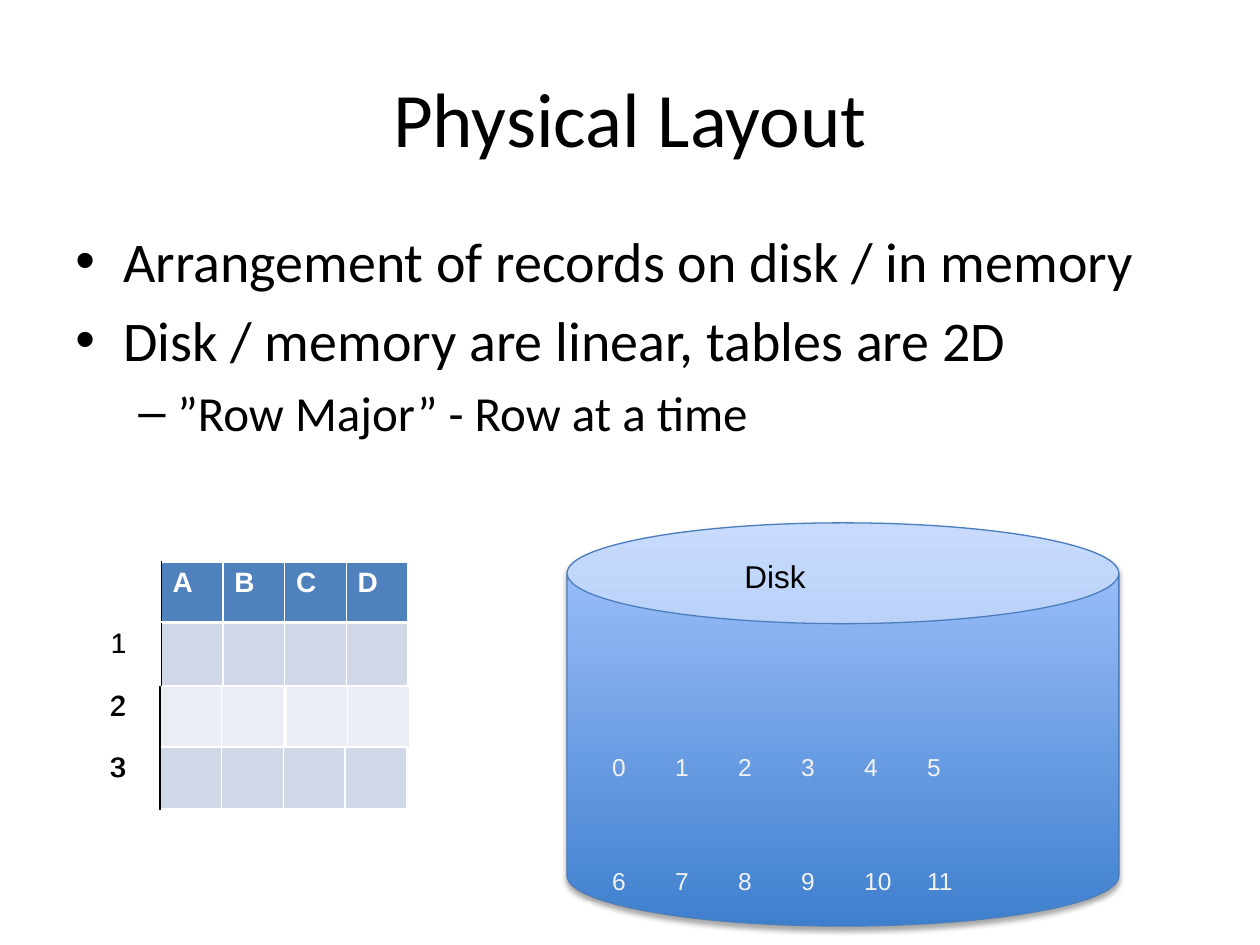
"""Build the Physical Layout slide with its record table and disk."""
from dataclasses import dataclass

from lxml import etree
from pptx import Presentation
from pptx import util as u
from pptx.dml import color as dml
from pptx.enum import shapes, text
from pptx.oxml import ns


@dataclass(frozen=True)
class Theme:
    heading_font: str = "Calibri"
    label_font: str = "Arial"
    black: str = "000000"
    white: str = "FFFFFF"
    header: str = "4F81BD"
    band: str = "D0D8E8"
    light_band: str = "E9EDF4"
    overlay_band: str = "EAEDF4"
    disk_bottom: str = "3F80CE"
    disk_top: str = "A4C4FF"
    disk_line: str = "4B7EBC"
    address: str = "F2F2F2"
    title_size: int = 44
    bullet_size: int = 32
    sub_bullet_size: int = 28
    disk_size: int = 18
    cell_size: int = 16
    address_size: int = 14


theme = Theme()


def write(frame, content, size, font=theme.label_font, color=theme.black, bold=False,
          align=text.PP_ALIGN.LEFT, before=0, bullet=None, margin=0, hang=0, tabs=()):
    paragraph = frame.add_paragraph() if frame.text else frame.paragraphs[0]
    paragraph.alignment = align
    paragraph.space_before = u.Pt(before)
    run = paragraph.add_run()
    run.text = content
    run.font.size = u.Pt(size)
    run.font.name = font
    run.font.bold = bold
    run.font.color.rgb = dml.RGBColor.from_string(color)
    properties = paragraph._p.get_or_add_pPr()
    if bullet:
        properties.set("marL", str(u.Inches(margin)))
        properties.set("indent", str(u.Inches(-hang)))
        etree.SubElement(properties, ns.qn("a:buFont"), typeface="Arial")
        etree.SubElement(properties, ns.qn("a:buChar"), char=bullet)
    if tabs:
        stops = etree.SubElement(properties, ns.qn("a:tabLst"))
        for position in tabs:
            etree.SubElement(stops, ns.qn("a:tab"), pos=str(u.Inches(position)), algn="l")


def add_border(cell, side, color, width):
    edge = etree.SubElement(cell._tc.get_or_add_tcPr(), ns.qn(f"a:ln{side}"), w=str(u.Pt(width)))
    paint = etree.SubElement(edge, ns.qn("a:solidFill"))
    etree.SubElement(paint, ns.qn("a:srgbClr"), val=color)


deck = Presentation()
deck.slide_width, deck.slide_height = u.Inches(10), u.Inches(7.5)
slide = deck.slides.add_slide(deck.slide_layouts[5])

title = slide.shapes.title
title.left, title.top, title.width, title.height = map(u.Inches, (0.5, 0.3, 9, 1.25))
title.text_frame.vertical_anchor = text.MSO_ANCHOR.MIDDLE
write(title.text_frame, "Physical Layout", theme.title_size, font=theme.heading_font,
      align=text.PP_ALIGN.CENTER)

points = slide.shapes.add_textbox(*map(u.Inches, (0.5, 1.75, 9, 4.95))).text_frame
points.word_wrap = True
for point in ("Arrangement of records on disk / in memory",
              "Disk / memory are linear, tables are 2D"):
    write(points, point, theme.bullet_size, font=theme.heading_font, before=6.4,
          bullet="•", margin=0.38, hang=0.38)
write(points, "”Row Major” - Row at a time", theme.sub_bullet_size, font=theme.heading_font,
      before=5.6, bullet="–", margin=0.81, hang=0.31)
points.paragraphs[-1].level = 1

disk = slide.shapes.add_shape(shapes.MSO_SHAPE.CAN, *map(u.Inches, (4.5, 4.15, 4.38, 3.2)))
disk.fill.gradient()
disk.fill.gradient_angle = 90
for stop, shade in zip(disk.fill.gradient_stops, (theme.disk_bottom, theme.disk_top)):
    stop.color.rgb = dml.RGBColor.from_string(shade)
disk.line.color.rgb = dml.RGBColor.from_string(theme.disk_line)
disk.line.width = u.Pt(0.75)
disk.shadow.inherit = False
shadow = etree.SubElement(disk._element.spPr.find(ns.qn("a:effectLst")), ns.qn("a:outerShdw"),
                          blurRad=str(u.Pt(3.1)), dist=str(u.Pt(1.8)), dir="5400000",
                          rotWithShape="0")
shadow_color = etree.SubElement(shadow, ns.qn("a:srgbClr"), val=theme.black)
etree.SubElement(shadow_color, ns.qn("a:alpha"), val="35000")

disk_label = slide.shapes.add_textbox(*map(u.Inches, (5.81, 4.37, 3.51, 0.4))).text_frame
disk_label.word_wrap = True
write(disk_label, "Disk", theme.disk_size)

addresses = slide.shapes.add_textbox(*map(u.Inches, (4.76, 5.92, 3.98, 1.28))).text_frame
addresses.word_wrap = True
for first, gap in ((0, 0), (6, 48)):
    write(addresses, "\t".join(str(first + step) for step in range(6)), theme.address_size,
          color=theme.address, before=gap, tabs=[0.5 * step for step in range(1, 6)])

cell_side = 0.49
record_grids = [
    (0.79, 4.46, True, [(["", "A", "B", "C", "D"], theme.header),
                        (["1", "", "", "", ""], theme.band),
                        (["2", "", "", "", ""], theme.light_band),
                        (["3", "", "", "", ""], theme.band)]),
    (0.79, 4.95, True, [(["1", "", "", "", ""], theme.band)]),
    (2.27, 5.45, False, [(["", ""], theme.overlay_band)]),
    (0.78, 5.45, True, [(["2", "", ""], theme.overlay_band)]),
    (0.78, 5.93, True, [(["3", "", "", "", ""], theme.band)]),
]
for left, top, has_labels, records in record_grids:
    column_count = len(records[0][0])
    grid = slide.shapes.add_table(
        len(records), column_count, u.Inches(left), u.Inches(top),
        u.Inches(cell_side * column_count), u.Inches(cell_side * len(records))).table
    grid.first_row = grid.horz_banding = False
    for row_index, (values, shade) in enumerate(records):
        is_header = shade == theme.header
        for column_index, value in enumerate(values):
            cell = grid.cell(row_index, column_index)
            is_label = has_labels and column_index == 0
            beside_label = has_labels and column_index == 1
            cell.margin_left = cell.margin_right = u.Inches(0.09)
            cell.margin_top = cell.margin_bottom = u.Inches(0.04)
            add_border(cell, "L", theme.black if beside_label else theme.white, 1)
            add_border(cell, "R", theme.black if is_label else theme.white, 1)
            add_border(cell, "T", theme.white, 1)
            add_border(cell, "B", theme.white, 3 if is_header else 1)
            if is_label:
                cell.fill.background()
            else:
                cell.fill.solid()
                cell.fill.fore_color.rgb = dml.RGBColor.from_string(shade)
            if value:
                write(cell.text_frame, value, theme.cell_size, bold=is_header,
                      color=theme.white if is_header else theme.black)

deck.save("out.pptx")
